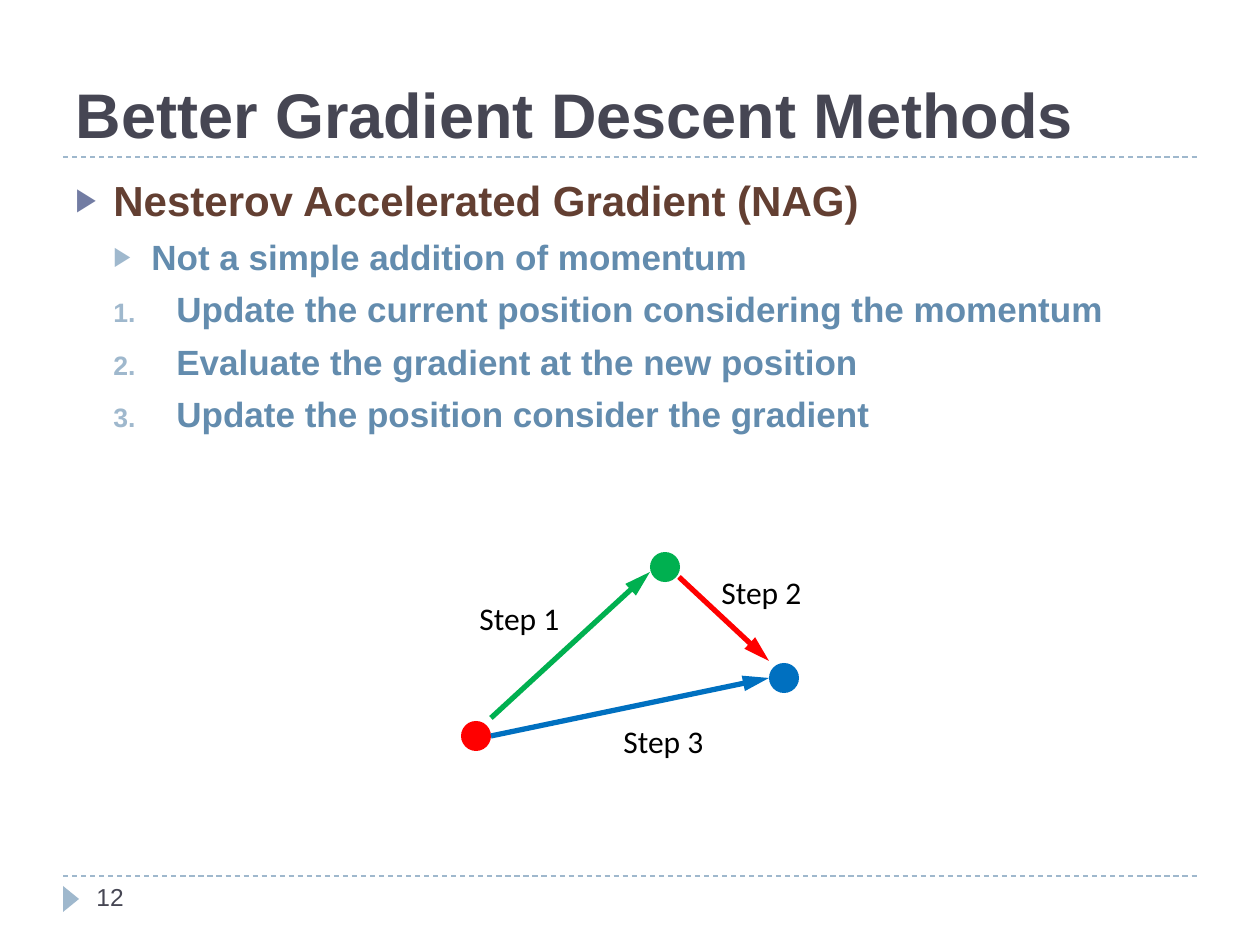
"""Builds a slide on Nesterov accelerated gradient with a three-step diagram."""
from lxml import etree
from pptx import Presentation
from pptx import util as u
from pptx.dml.color import RGBColor
from pptx.enum import dml, shapes, text
from pptx.oxml.ns import qn

PX = 914400 / 126
PALE, DARK, BROWN, STEEL = "9FB8CD", "464653", "633F32", "638CAE"
RED, GREEN, BLUE = "FF0000", "00B050", "0070C0"

TITLE = "Better Gradient Descent Methods"
HEAD = {"level": 0, "margin": 38, "hang": 38, "before": 18, "size": 24,
        "color": BROWN, "mark": "727CA3", "bullet": ("buChar", {"char": "▶"})}
NOTE = {**HEAD, "level": 1, "margin": 76, "before": 6, "size": 20,
        "color": STEEL, "mark": PALE}
STEP = {**NOTE, "margin": 101, "hang": 63,
        "bullet": ("buAutoNum", {"type": "arabicPeriod"})}
BODY = [
    ("Nesterov Accelerated Gradient (NAG)", HEAD),
    ("Not a simple addition of momentum", NOTE),
    ("Update the current position considering the momentum", STEP),
    ("Evaluate the gradient at the new position", STEP),
    ("Update the position consider the gradient", STEP),
]
RULES = [157, 876]
DOT = 30
DOTS = [(461, 721, RED), (650, 552, GREEN), (769, 663, BLUE)]
ARROWS = [((491, 718), (650, 572), GREEN), ((679, 577), (769, 661), RED),
          ((491, 736), (769, 678), BLUE)]
LABELS = [("Step 1", 467, 593), ("Step 2", 709, 567), ("Step 3", 611, 716)]


def px(*values):
    return [u.Emu(round(value * PX)) for value in values]


def rgb(value):
    return RGBColor.from_string(value)


def apply(target, values):
    for name, value in values.items():
        setattr(target, name, value)


def write(para, words, size, color, font="Arial", bold=False):
    span = para.add_run()
    span.text = words
    apply(span.font, {"name": font, "size": u.Pt(size), "bold": bold})
    span.font.color.rgb = rgb(color)


def add_box(page, place, wrap=True):
    box = page.shapes.add_textbox(*px(*place))
    box.text_frame.word_wrap = wrap
    return box.text_frame


def add_shape(page, kind, place, color):
    shape = page.shapes.add_shape(kind, *px(*place))
    shape.shadow.inherit = False
    shape.fill.solid()
    shape.fill.fore_color.rgb = rgb(color)
    shape.line.fill.background()
    return shape


def add_line(page, start, end, color, width):
    line = page.shapes.add_connector(shapes.MSO_CONNECTOR.STRAIGHT, *px(*start, *end))
    line.line.width = u.Pt(width)
    line.line.color.rgb = rgb(color)
    etree.SubElement(line._element.spPr, qn("a:effectLst"))
    return line.line


def add_bullet(para, style):
    props = para._p.get_or_add_pPr()
    margin, hang = px(style["margin"], style["hang"])
    props.set("marL", str(margin))
    props.set("indent", str(-hang))
    color = etree.SubElement(props, qn("a:buClr"))
    etree.SubElement(color, qn("a:srgbClr"), val=style["mark"])
    etree.SubElement(props, qn("a:buSzPct"), val="76000")
    etree.SubElement(props, qn("a:buFont"), typeface="Arial")
    tag, values = style["bullet"]
    etree.SubElement(props, qn("a:" + tag), values)


def add_title(page):
    title = page.shapes.title
    left, top, width, height = px(63, 21, 1134, 136)
    apply(title, {"left": left, "top": top, "width": width, "height": height})
    apply(title.text_frame, {"vertical_anchor": text.MSO_ANCHOR.BOTTOM,
                             "auto_size": text.MSO_AUTO_SIZE.NONE, "word_wrap": True})
    para = title.text_frame.paragraphs[0]
    para.alignment = text.PP_ALIGN.LEFT
    write(para, TITLE, 36, DARK, bold=True)


def add_body(page):
    frame = add_box(page, (63, 168, 1134, 680))
    for index, (words, style) in enumerate(BODY):
        para = frame.add_paragraph() if index else frame.paragraphs[0]
        apply(para, {"level": style["level"], "space_before": u.Pt(style["before"])})
        add_bullet(para, style)
        write(para, words, style["size"], style["color"], bold=True)


def add_diagram(page):
    for left, top, color in DOTS:
        add_shape(page, shapes.MSO_SHAPE.OVAL, (left, top, DOT, DOT), color)
    for start, end, color in ARROWS:
        line = add_line(page, start, end, color, 3)
        etree.SubElement(line._get_or_add_ln(), qn("a:tailEnd"),
                         type="triangle", w="med", len="lg")
    for words, left, top in LABELS:
        frame = add_box(page, (left, top, 107, 50), wrap=False)
        write(frame.paragraphs[0], words, 18, "000000", "Calibri")


def main():
    deck = Presentation()
    deck.slide_width, deck.slide_height = px(1260, 945)
    page = deck.slides.add_slide(deck.slide_layouts[5])
    for top in RULES:
        rule = add_line(page, (63, top), (1197, top), PALE, 0.75)
        rule.dash_style = dml.MSO_LINE.DASH
    marker = add_shape(page, shapes.MSO_SHAPE.ISOSCELES_TRIANGLE, (58, 891, 26, 16), PALE)
    marker.rotation = 90
    add_title(page)
    add_body(page)
    number = add_box(page, (84, 876, 273, 50))
    write(number.paragraphs[0], "12", 14, DARK)
    add_diagram(page)
    deck.save("out.pptx")


if __name__ == "__main__":
    main()
